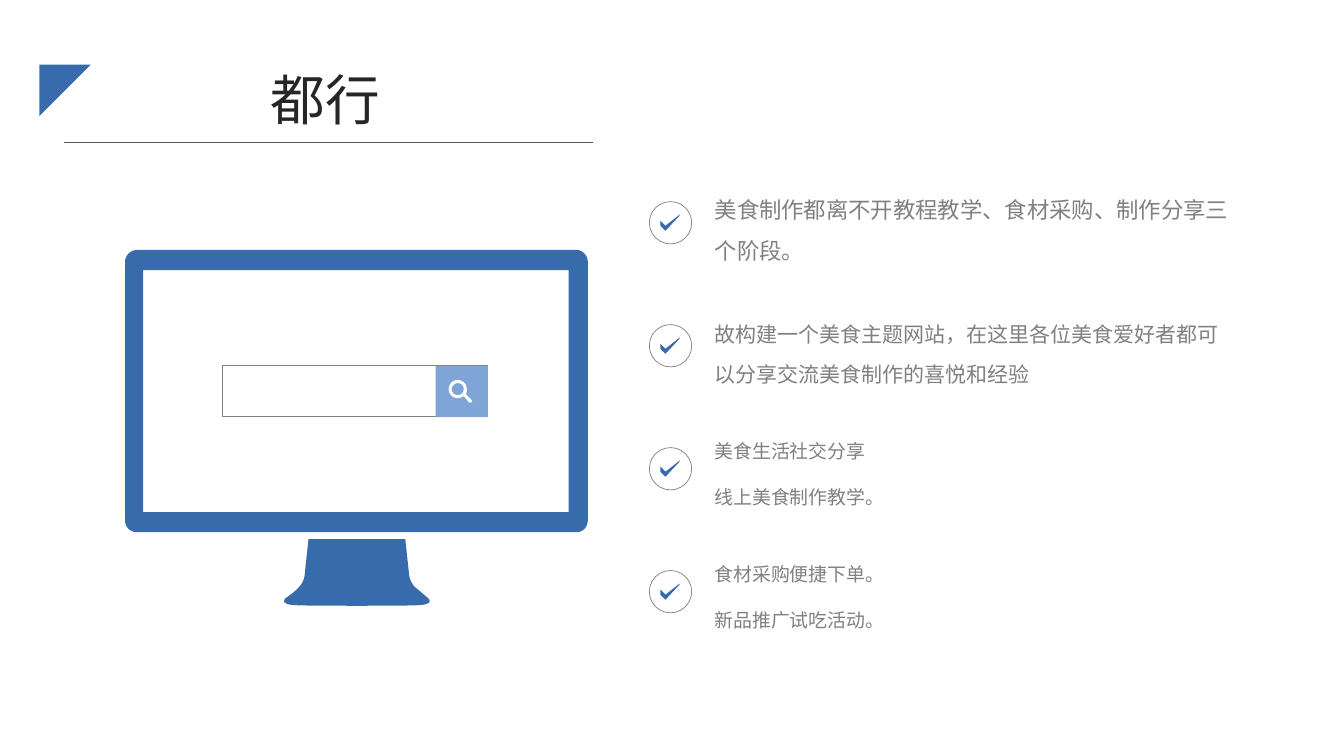
from dataclasses import dataclass

from lxml.etree import SubElement
from pptx import Presentation
from pptx.dml.color import RGBColor
from pptx.enum.shapes import MSO_CONNECTOR, MSO_SHAPE
from pptx.enum.text import MSO_ANCHOR, PP_ALIGN
from pptx.oxml.ns import qn
from pptx.util import Pt

PX = 9144  # 100 px to the inch


@dataclass(frozen=True)
class Theme:
    blue: str = "376BAB"
    light_blue: str = "7EA5D6"
    white: str = "FFFFFF"
    grey: str = "808080"
    title: str = "262626"
    rule: str = "54565C"
    font: str = "Noto Sans CJK SC"
    title_size: float = 39
    hairline: float = 0.5


T = Theme()

# Contours: two numbers draw a line to a point, six draw a cubic curve.
STAND = [[(424, 593), (424, 593, 416, 586, 411, 582), (407, 577, 406, 572, 406, 572),
          (402, 535), (306, 535), (302, 572), (302, 572, 301, 578, 297, 582),
          (293, 587, 284, 593, 284, 593), (284, 593, 277, 598, 288, 600),
          (294, 601, 322, 601, 344, 601), (364, 601), (387, 601, 414, 601, 420, 600),
          (431, 598, 424, 593, 424, 593)]]
SCREEN = [[(572, 248), (136, 248), (129, 248, 124, 254, 124, 260), (124, 516),
           (124, 523, 129, 528, 136, 528), (572, 528), (578, 528, 583, 523, 583, 516),
           (583, 260), (583, 254, 578, 248, 572, 248)],
          [(564, 508), (142, 508), (142, 268), (564, 268)]]
MAGNIFIER = [[(454, 377), (449, 377, 445, 381, 445, 386), (445, 391, 449, 395, 454, 395),
              (456, 395, 458, 394, 460, 393), (465, 399), (466, 400, 469, 399, 468, 397),
              (462, 391), (463, 389, 463, 388, 463, 386), (463, 381, 459, 377, 454, 377)],
             [(454, 380), (458, 380, 460, 383, 460, 386), (460, 390, 457, 392, 454, 392),
              (451, 392, 448, 390, 448, 386), (448, 383, 451, 380, 454, 380)]]
TICK = [(0, 11), (5, 16), (19, 1), (19, 0), (5, 11), (0, 6)]

POINTS = [  # paragraphs, type size, line spacing
    (["美食制作都离不开教程教学、食材采购、制作分享三个阶段。"], 16, 1.5),
    (["故构建一个美食主题网站，在这里各位美食爱好者都可以分享交流美食制作的喜悦和经验"], 15, 1.6),
    (["美食生活社交分享", "线上美食制作教学。"], 13.5, 1.4),
    (["食材采购便捷下单。", "新品推广试吃活动。"], 13.5, 1.4),
]
POINT_TOP, POINT_PITCH = 176, 122


def emu(*lengths):
    return [round(v * PX) for v in lengths]


def apply(target, **values):
    for name, value in values.items():
        setattr(target, name, value)


def paint(sp, fill=None, line=None):
    sp.shadow.inherit = False
    if fill:
        sp.fill.solid()
        sp.fill.fore_color.rgb = RGBColor.from_string(fill)
    else:
        sp.fill.background()
    if line:
        sp.line.color.rgb = RGBColor.from_string(line)
        sp.line.width = Pt(T.hairline)
    else:
        sp.line.fill.background()


def add_preset(s, kind, box, fill=None, line=None, rotation=0):
    sp = s.shapes.add_shape(kind, *emu(*box))
    sp.rotation = rotation
    paint(sp, fill, line)


def flatten(contour, steps=8):
    """Turn a contour of lines and cubic curves into EMU points."""
    points = [contour[0]]
    for part in contour[1:]:
        if len(part) == 2:
            points.append(part)
            continue
        a, b, c, d = points[-1], part[:2], part[2:4], part[4:]
        for i in range(1, steps + 1):
            t = i / steps
            u = 1 - t
            points.append(tuple(u**3 * a[k] + 3 * u * u * t * b[k] + 3 * u * t * t * c[k]
                                + t**3 * d[k] for k in (0, 1)))
    return [emu(*point) for point in points]


def add_outline(s, contours, fill):
    first, *holes = [flatten(contour) for contour in contours]
    builder = s.shapes.build_freeform(*first[0], scale=1.0)
    builder.add_line_segments(first[1:], close=True)
    for hole in holes:
        builder.move_to(*hole[0])
        builder.add_line_segments(hole[1:], close=True)
    paint(builder.convert_to_shape(), fill)


def add_text(s, box, paragraphs, size, color, anchor=MSO_ANCHOR.TOP, **layout):
    tf = s.shapes.add_textbox(*emu(*box)).text_frame
    apply(tf, word_wrap=True, vertical_anchor=anchor)
    for i, text in enumerate(paragraphs):
        p = tf.paragraphs[0] if i == 0 else tf.add_paragraph()
        apply(p, space_before=Pt(10 if i else 0), **layout)
        r = p.add_run()
        r.text = text
        apply(r.font, name=T.font, size=Pt(size))
        r.font.color.rgb = RGBColor.from_string(color)
        SubElement(r.font._element, qn("a:ea"), typeface=T.font)


def add_rule(s, x1, y1, x2, y2):
    line = s.shapes.add_connector(MSO_CONNECTOR.STRAIGHT, *emu(x1, y1, x2, y2))
    line.line.color.rgb = RGBColor.from_string(T.rule)
    line.line.width = Pt(T.hairline)
    SubElement(line._element.spPr, qn("a:effectLst"))


def add_heading(s):
    add_preset(s, MSO_SHAPE.RIGHT_TRIANGLE, (39, 64, 51, 51), T.blue, rotation=90)
    add_text(s, (39, 60, 567, 77), ["都行"], T.title_size, T.title, alignment=PP_ALIGN.CENTER)
    add_rule(s, 63, 141, 588, 141)


def add_monitor(s):
    add_outline(s, STAND, T.blue)
    add_outline(s, SCREEN, T.blue)
    add_preset(s, MSO_SHAPE.RECTANGLE, (221, 363, 262, 50), T.white, T.grey)
    add_preset(s, MSO_SHAPE.RECTANGLE, (432, 363, 52, 51), T.light_blue)
    add_outline(s, MAGNIFIER, T.white)


def add_point(s, top, paragraphs, size, spacing):
    add_preset(s, MSO_SHAPE.OVAL, (644, top + 24, 42, 42), line=T.grey)
    add_outline(s, [[(655 + x, top + 37 + y) for x, y in TICK]], T.blue)
    add_text(s, (699, top, 538, 91), paragraphs, size, T.grey, MSO_ANCHOR.MIDDLE,
             line_spacing=spacing)


def main():
    prs = Presentation()
    apply(prs, slide_width=1333 * PX, slide_height=750 * PX)
    s = prs.slides.add_slide(prs.slide_layouts[6])
    add_monitor(s)
    for i, point in enumerate(POINTS):
        add_point(s, POINT_TOP + i * POINT_PITCH, *point)
    add_heading(s)
    prs.save("out.pptx")


if __name__ == "__main__":
    main()
